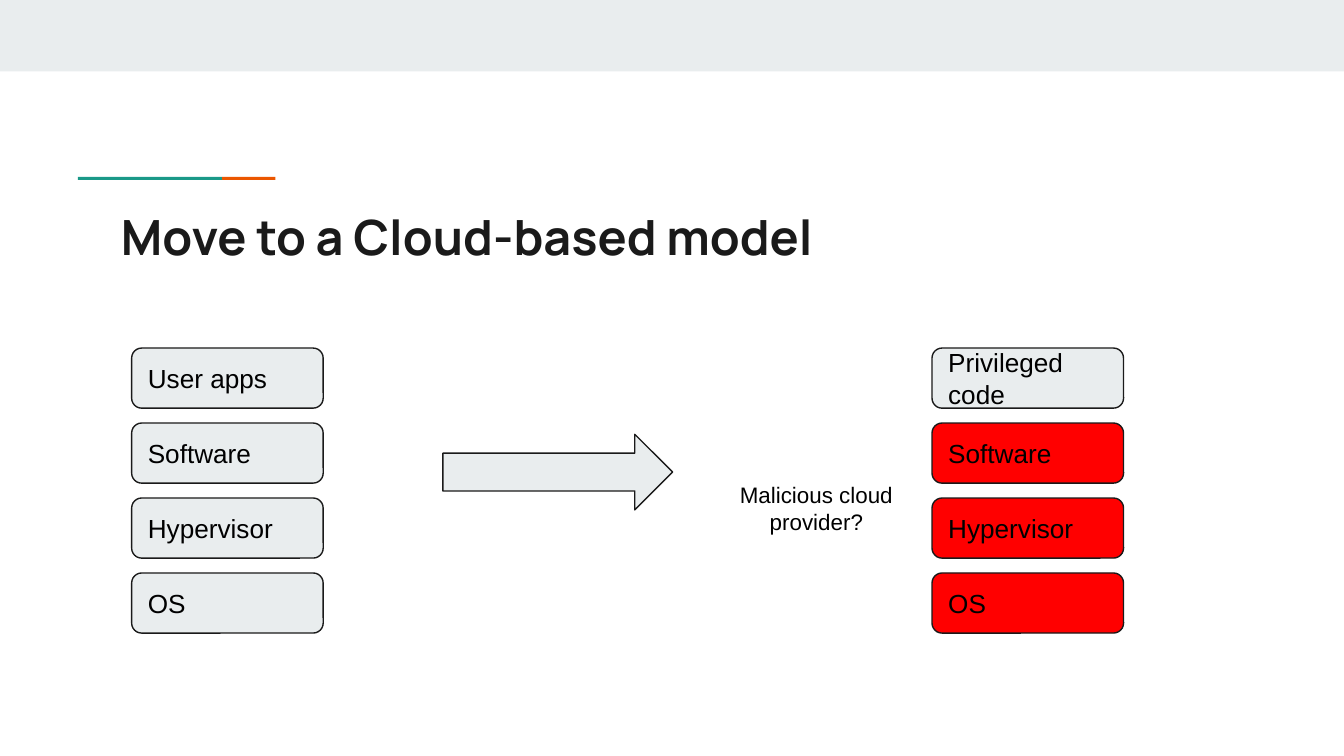
from pptx import Presentation, util as u
from pptx.dml.color import RGBColor
from pptx.enum import shapes, text

WIDTH = u.Inches(10)
HEIGHT = WIDTH * 9 // 16
SHAPE = shapes.MSO_SHAPE
INK, BLACK, GREY, RED = "1A1A1A", "000000", "E9EDEE", "FF0000"
TEAL, ORANGE = "1A9988", "EB5600"


def place(box):
    """Turn left, top, width, height in percent of the slide into lengths."""
    x, y, w, h = box
    return (int(WIDTH * x / 100), int(HEIGHT * y / 100),
            int(WIDTH * w / 100), int(HEIGHT * h / 100))


def paint(colour_format, colour):
    colour_format.rgb = RGBColor.from_string(colour)


def add_block(s, kind, box, fill, line=None):
    sp = s.shapes.add_shape(kind, *place(box))
    sp.shadow.inherit = False
    sp.fill.solid()
    paint(sp.fill.fore_color, fill)
    if line:
        paint(sp.line.color, line)
        sp.line.width = u.Pt(0.75)
    else:
        sp.line.fill.background()
    return sp


def write(sp, words, size, font="Arial", colour=BLACK, bold=False,
          align=text.PP_ALIGN.LEFT, anchor=text.MSO_ANCHOR.TOP):
    tf = sp.text_frame
    tf.text = words
    tf.word_wrap = True
    tf.auto_size = text.MSO_AUTO_SIZE.NONE
    tf.vertical_anchor = anchor
    tf.margin_left = tf.margin_right = u.Inches(0.1)
    tf.margin_top = tf.margin_bottom = u.Inches(0.1)
    p = tf.paragraphs[0]
    p.alignment = align
    r = p.runs[0]
    r.font.name, r.font.size, r.font.bold = font, u.Pt(size), bold
    paint(r.font.color, colour)


def add_accent(s, box):
    """Thin rule: teal, then orange for the last part."""
    x, y, w, h = box
    teal = w * 0.73
    add_block(s, SHAPE.RECTANGLE, (x, y, teal, h), TEAL)
    add_block(s, SHAPE.RECTANGLE, (x + teal, y, w - teal, h), ORANGE)


def add_title(s, box, words):
    title = s.shapes.title
    title.left, title.top, title.width, title.height = place(box)
    write(title, words, 26, "Manrope", INK, bold=True)


def add_stack(s, box, layers, layer_height=7.95):
    """Layers of equal height spread evenly from top to bottom of the box."""
    x, y, w, h = box
    pitch = (h - layer_height) / (len(layers) - 1)
    for row, (words, fill) in enumerate(layers):
        sp = add_block(s, SHAPE.ROUNDED_RECTANGLE,
                       (x, y + row * pitch, w, layer_height), fill, INK)
        write(sp, words, 14, anchor=text.MSO_ANCHOR.MIDDLE)


def add_note(s, box, words):
    sp = s.shapes.add_textbox(*place(box))
    write(sp, words, 12, align=text.PP_ALIGN.CENTER)


def main():
    prs = Presentation()
    prs.slide_width, prs.slide_height = WIDTH, HEIGHT
    s = prs.slides.add_slide(prs.slide_layouts[5])

    # Header
    add_block(s, SHAPE.RECTANGLE, (0, 0, 100, 9.45), GREY)
    add_accent(s, (5.8, 23.4, 14.7, 0.4))
    add_title(s, (8, 25.6, 84.1, 10.5), "Move to a Cloud-based model")

    # Local and cloud stacks
    shared = ["Software", "Hypervisor", "OS"]
    local = [(name, GREY) for name in ["User apps"] + shared]
    cloud = [("Privileged code", GREY)] + [(name, RED) for name in shared]
    for x, layers in ((9.8, local), (69.35, cloud)):
        add_stack(s, (x, 46.05, 14.25, 37.7), layers)

    # Move from one to the other
    add_note(s, (52.95, 61.9, 15.6, 16.2), "Malicious cloud provider?")
    add_block(s, SHAPE.RIGHT_ARROW, (32.95, 57.45, 17.1, 10), GREY, INK)

    prs.save("out.pptx")


if __name__ == "__main__":
    main()
